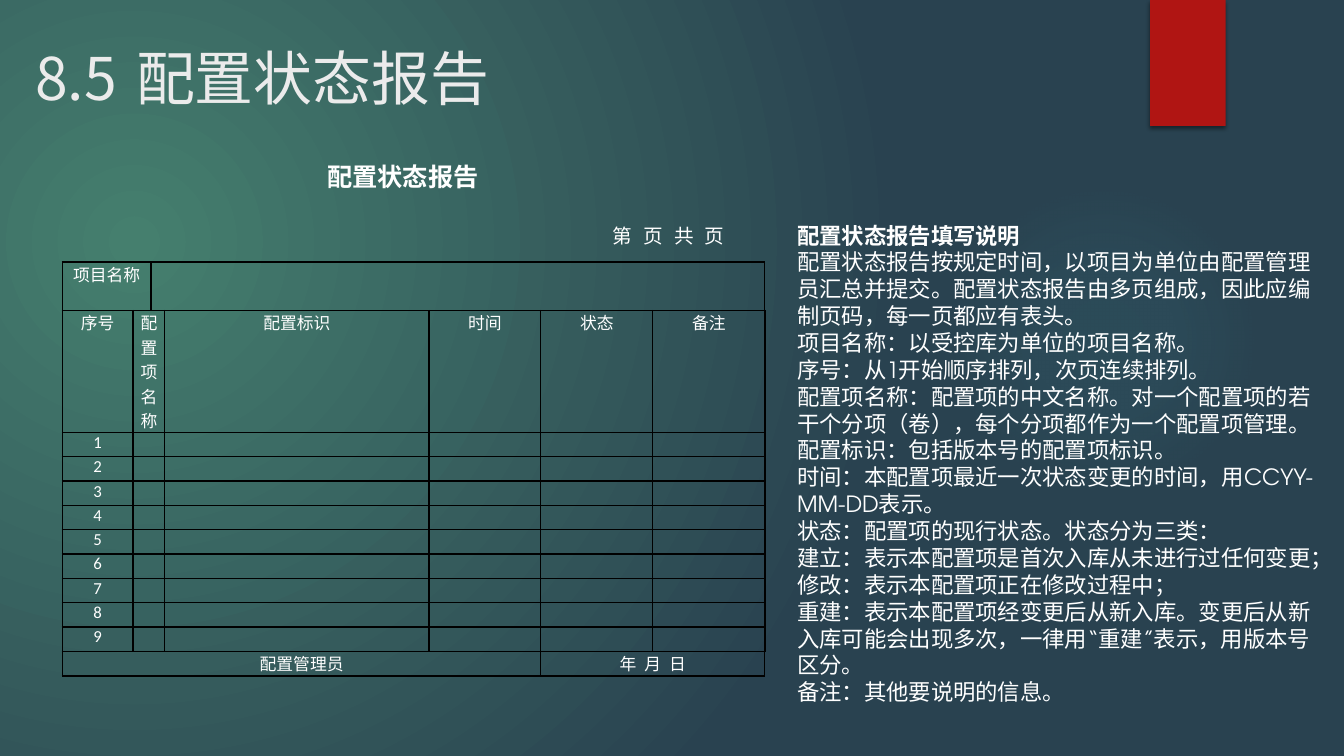
from dataclasses import dataclass

from lxml import etree
from pptx import Presentation
from pptx.dml.color import RGBColor
from pptx.enum.shapes import MSO_SHAPE
from pptx.enum.text import MSO_ANCHOR, MSO_AUTO_SIZE, PP_ALIGN
from pptx.oxml.ns import qn
from pptx.util import Pt

RECT, OVAL = MSO_SHAPE.RECTANGLE, MSO_SHAPE.OVAL
TOP = MSO_ANCHOR.TOP
GROW, FIXED = MSO_AUTO_SIZE.SHAPE_TO_FIT_TEXT, MSO_AUTO_SIZE.NONE
LEFT, CENTER = PP_ALIGN.LEFT, PP_ALIGN.CENTER


@dataclass(frozen=True)
class Theme:
    white: str = "FFFFFF"
    pale: str = "EBEBEB"
    black: str = "000000"
    red: str = "B01513"
    teal: str = "50B9C1"
    green: str = "457F6E"
    navy: str = "294250"
    title: int = 42
    head: int = 18
    body: int = 16
    note: int = 14
    cell: int = 12
    thick: float = 1.5
    thin: float = 1
    han: str = "Noto Sans CJK SC"
    sans: str = "TeX Gyre Adventor"
    grid: str = "Calibri"


def add(node, tag, **attrs):
    return etree.SubElement(node, qn(tag), {k: str(v) for k, v in attrs.items()})


def tint(node, color, alpha=100):
    clr = add(node, "a:srgbClr", val=color)
    if alpha < 100:
        add(clr, "a:alpha", val=alpha * 1000)


def glow(root, stops, focus):
    """Turn the gradient under root into a round one."""
    grad = next(root.iter(qn("a:gradFill")))
    for child in list(grad):
        grad.remove(child)
    list_ = add(grad, "a:gsLst")
    for pos, color, alpha in stops:
        tint(add(list_, "a:gs", pos=pos * 1000), color, alpha)
    sides = {side: val * 1000 for side, val in zip("ltrb", focus)}
    add(add(grad, "a:path", path="circle"), "a:fillToRect", **sides)


class Page:
    def __init__(self, deck, theme):
        self.theme = theme
        self.slide = deck.slides.add_slide(deck.slide_layouts[5])

    def paint(self, stops, focus):
        self.slide.background.fill.gradient()
        glow(self.slide.background._cSld, stops, focus)

    def style(self, para, size, face, asian, color=None, bold=False, track=0):
        for run in para.runs:
            font = run.font
            font.size, font.bold, font.name = Pt(size), bold, face
            font.color.rgb = RGBColor.from_string(color or self.theme.white)
            props = run._r.get_or_add_rPr()
            add(props, "a:ea", typeface=asian)
            if track:
                props.set("spc", str(int(track * 100)))

    def shape(self, kind, box):
        item = self.slide.shapes.add_shape(kind, *map(Pt, box))
        item.shadow.inherit = False
        item.line.fill.background()
        return item

    def halo(self, box, stops):
        item = self.shape(OVAL, box)
        item.fill.gradient()
        glow(item._element.spPr, stops, (50, 50, 50, 50))

    def ribbon(self, box):
        item = self.shape(RECT, box)
        item.fill.solid()
        item.fill.fore_color.rgb = RGBColor.from_string(self.theme.red)
        effects = item._element.spPr.find(qn("a:effectLst"))
        cast = add(effects, "a:outerShdw", blurRad=Pt(3), dist=Pt(2),
                   dir=5400000, algn="ctr", rotWithShape=0)
        tint(cast, self.theme.black, 45)

    def title(self, text, box):
        item = self.slide.shapes.title
        item.left, item.top, item.width, item.height = map(Pt, box)
        frame = item.text_frame
        frame.text = text
        frame.auto_size, frame.vertical_anchor = FIXED, TOP
        para = frame.paragraphs[0]
        para.alignment, para.line_spacing = LEFT, 0.9
        look = self.theme
        self.style(para, look.title, look.han, look.han, look.pale)

    def text(self, lines, box, size, wrap=False, bold=False, track=0):
        """Add a text box; bold applies to its first line only."""
        frame = self.slide.shapes.add_textbox(*map(Pt, box)).text_frame
        frame.word_wrap, frame.auto_size = wrap, GROW
        frame.text = "\n".join(lines)
        face = self.theme.sans
        for i, para in enumerate(frame.paragraphs):
            self.style(para, size, face, face, bold=bold and i == 0, track=track)

    def edge(self, cell, side, width):
        line = add(cell._tc.get_or_add_tcPr(), f"a:ln{side}", w=Pt(width))
        tint(add(line, "a:solidFill"), self.theme.black)

    def cell(self, cell, text, track):
        look = self.theme
        cell.margin_left = cell.margin_right = Pt(5)
        cell.margin_top = cell.margin_bottom = 0
        cell.text = text
        para = cell.text_frame.paragraphs[0]
        para.alignment = CENTER
        para.space_before = para.space_after = Pt(3)
        self.style(para, look.cell, look.grid, look.han, track=track)
        if not text:
            add(para._p, "a:endParaRPr", sz=look.cell * 100)

    def table(self, rows, spans, box, widths, heights, tracks):
        """Add a ruled table; spans are (row, first column, last column)."""
        tall, wide = len(heights), len(widths)
        table = self.slide.shapes.add_table(tall, wide, *map(Pt, box)).table
        table.first_row = table.horz_banding = False
        for col, width in zip(table.columns, widths):
            col.width = Pt(width)
        for row, height in zip(table.rows, heights):
            row.height = Pt(height)
        thick, thin = self.theme.thick, self.theme.thin
        for r in range(tall):
            for c in range(wide):
                cell = table.cell(r, c)
                self.cell(cell, rows[r].get(c, ""), tracks.get((r, c), 0))
                outer = {"L": c == 0, "R": c == wide - 1,
                         "T": r == 0, "B": r == tall - 1}
                for side, rim in outer.items():
                    self.edge(cell, side, thick if rim else thin)
                cell.fill.background()
        for r, first, last in spans:
            table.cell(r, first).merge(table.cell(r, last))


NOTES = [
    "配置状态报告填写说明",
    "配置状态报告按规定时间，以项目为单位由配置管理员汇总并提交。配置状态报告由多页组成，因此应编制页码，每一页都应有表头。",
    "项目名称：以受控库为单位的项目名称。",
    "序号：从1开始顺序排列，次页连续排列。",
    "配置项名称：配置项的中文名称。对一个配置项的若干个分项（卷），每个分项都作为一个配置项管理。",
    "配置标识：包括版本号的配置项标识。",
    "时间：本配置项最近一次状态变更的时间，用CCYY-MM-DD表示。",
    "状态：配置项的现行状态。状态分为三类：",
    "建立：表示本配置项是首次入库从未进行过任何变更；",
    "修改：表示本配置项正在修改过程中；",
    "重建：表示本配置项经变更后从新入库。变更后从新入库可能会出现多次，一律用“重建”表示，用版本号区分。",
    "备注：其他要说明的信息。",
]
HEADS = {0: "序号", 1: "配置项名称", 3: "配置标识", 4: "时间", 5: "状态", 6: "备注"}
COUNT = 9


def main():
    deck = Presentation()
    deck.slide_width, deck.slide_height = Pt(960), Pt(540)
    look = Theme()
    page = Page(deck, look)
    page.paint([(0, look.green, 100), (100, look.navy, 100)], (45, 65, 125, 100))
    page.halo((677.5, 131.8, 221.8, 221.8),
              [(0, look.teal, 7), (36, look.teal, 6), (69, look.teal, 0)])
    page.ribbon((821.5, 0, 54, 90))
    page.title("8.5\t配置状态报告", (18, 31.7, 741, 80.6))
    page.text(["配置状态报告"], (226.8, 111.6, 124.6, 28.8), look.head, bold=True)
    page.text(["第 页 共 页"], (430.6, 156.2, 94.3, 24.5), look.note, track=2)
    rows = [{0: "项目名称"}, HEADS]
    rows += [{0: str(n)} for n in range(1, COUNT + 1)]
    rows.append({0: "配置管理员", 5: "年 月 日"})
    last = len(rows) - 1
    spans = [(0, 0, 1), (0, 2, 6), (last, 0, 4), (last, 5, 6)]
    spans += [(r, 1, 2) for r in range(1, last)]
    page.table(rows, spans, (44.6, 187.2, 499.7, 296.6),
               [50.4, 10, 10, 188.6] + [80] * 3,
               [34.6, 87.1] + [17.4] * (COUNT + 1), {(last, 5): 1.5})
    page.text(NOTES, (562.3, 154.8, 387.4, 356.4), look.body, wrap=True, bold=True)
    deck.save("out.pptx")


if __name__ == "__main__":
    main()
